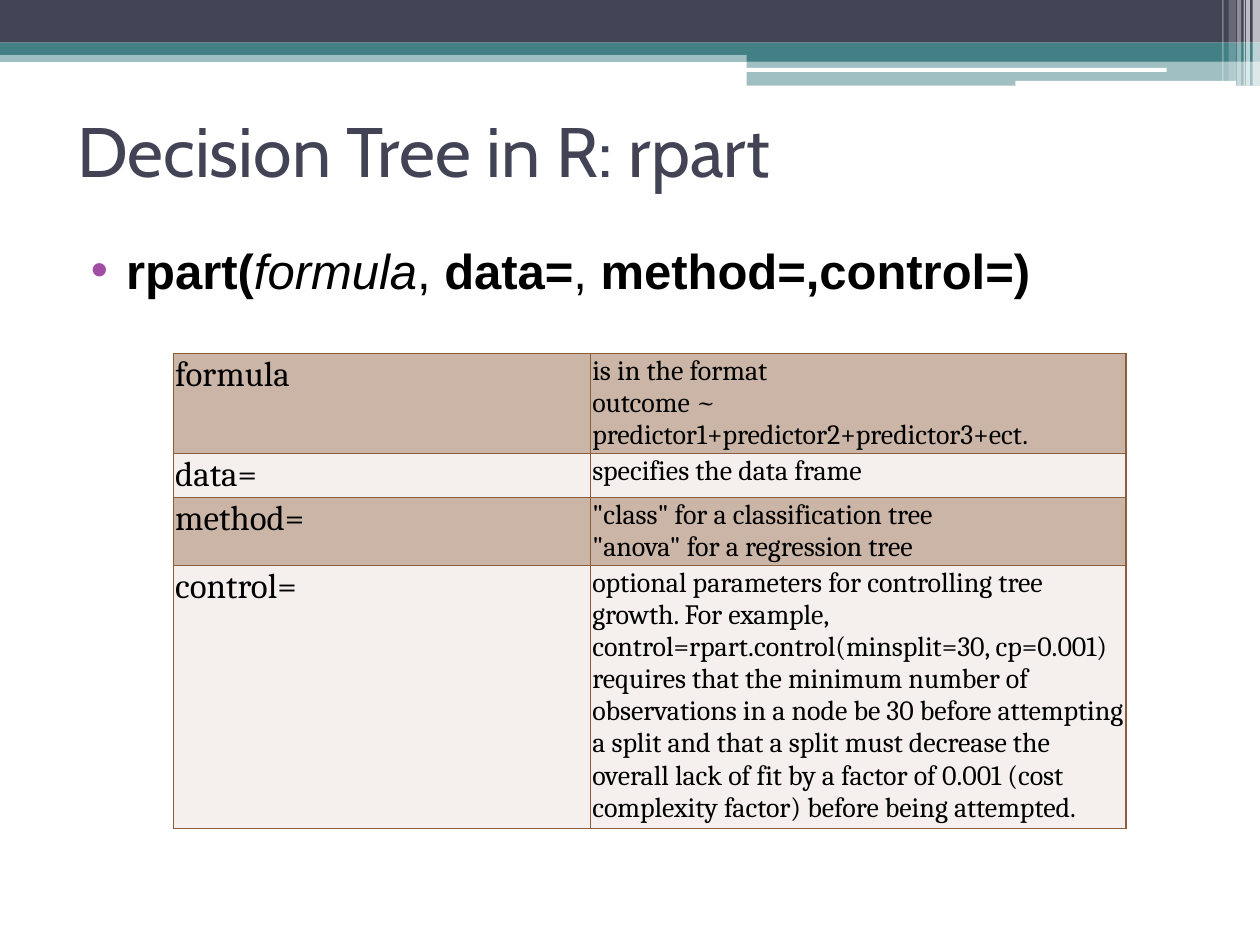
from dataclasses import dataclass

from lxml import etree
from pptx import Presentation
from pptx.dml.color import RGBColor
from pptx.enum.shapes import MSO_SHAPE
from pptx.enum.text import MSO_ANCHOR, MSO_AUTO_SIZE, PP_ALIGN
from pptx.oxml.ns import qn
from pptx.util import Cm, Pt

RECT = MSO_SHAPE.RECTANGLE
ROUND = MSO_SHAPE.ROUNDED_RECTANGLE
LEFT = PP_ALIGN.LEFT
TOP = MSO_ANCHOR.TOP
MIDDLE = MSO_ANCHOR.MIDDLE
NO_FIT = MSO_AUTO_SIZE.NONE


@dataclass(frozen=True)
class Theme:
    navy: str = "424456"
    teal: str = "438086"
    white: str = "FFFFFF"
    text: str = "000000"
    bullet: str = "A04DA3"
    border: str = "8B5D3D"
    rows: tuple = ("CBB5A7", "F5F0EE")
    title_font: str = "Cabin"
    body_font: str = "Arial"
    table_font: str = "Cambria"
    title_size: int = 40
    body_size: int = 28
    term_size: int = 20
    note_size: int = 16
    border_width: float = 0.75


THEME = Theme()

SIGNATURE = [
    ("rpart(", {"bold": True}),
    ("formula", {"italic": True}),
    (", ", {}),
    ("data=", {"bold": True}),
    (", ", {}),
    ("method=,control=)", {"bold": True}),
]

ARGUMENTS = [
    ("formula", "is in the format \noutcome ~ predictor1+predictor2+predictor3+ect.", 2.01),
    ("data=", "specifies the data frame", 0.89),
    ("method=", '"class" for a classification tree \n"anova" for a regression tree', 1.37),
    ("control=", "optional parameters for controlling tree growth. For example, "
     "control=rpart.control(minsplit=30, cp=0.001) requires that the minimum number of "
     "observations in a node be 30 before attempting a split and that a split must decrease "
     "the overall lack of fit by a factor of 0.001 (cost complexity factor) before being "
     "attempted.", 5.31),
]


def add_text(p, text, *, font, size, color=THEME.text, bold=False, italic=False):
    for i, line in enumerate(text.split("\n")):
        if i:
            p.add_line_break()
            br = p._p.findall(qn("a:br"))[-1]
            etree.SubElement(br, qn("a:rPr"), sz=str(size * 100))
        r = p.add_run()
        r.text = line
        r.font.name = font
        r.font.size = Pt(size)
        r.font.bold = bold
        r.font.italic = italic
        r.font.color.rgb = RGBColor.from_string(color)


def place(sp, left, top, width, height):
    sp.left, sp.top, sp.width, sp.height = Cm(left), Cm(top), Cm(width), Cm(height)


def add_bar(slide, left, top, width, height, color, alpha=100, shape=RECT):
    sp = slide.shapes.add_shape(shape, Cm(left), Cm(top), Cm(width), Cm(height))
    sp.shadow.inherit = False
    sp.line.fill.background()
    sp.fill.solid()
    sp.fill.fore_color.rgb = RGBColor.from_string(color)
    if alpha < 100:
        clr = sp._element.spPr.find(qn("a:solidFill"))[0]
        etree.SubElement(clr, qn("a:alpha"), val=str(alpha * 1000))


def add_header(slide, left, top, width):
    right = left + width
    tab = right - 10.35
    add_bar(slide, left, top + 1.02, width, 0.23, THEME.teal, 50)
    add_bar(slide, left, top, width, 0.86, THEME.navy)
    add_bar(slide, left, top + 0.86, width, 0.25, THEME.teal)
    add_bar(slide, tab, top + 0.99, 10.35, 0.25, THEME.teal)
    add_bar(slide, tab, top + 1.23, 10.35, 0.5, THEME.teal, 50)
    add_bar(slide, tab - 0.03, top + 1.37, 8.5, 0.08, THEME.white, shape=ROUND)
    add_bar(slide, right - 4.93, top + 1.63, 4.45, 0.1, THEME.white, shape=ROUND)
    stripes = [(0.15, 0.15, 1.73, 65), (0.28, 0.08, 1.73, 65), (0.33, 0.03, 1.73, 60),
               (0.46, 0.08, 1.73, 40), (0.63, 0.15, 1.63, 20), (0.76, 0.03, 1.63, 30)]
    for offset, w, h, alpha in stripes:
        add_bar(slide, right - offset, top, w, h, THEME.white, alpha)


def add_title(slide, left, top, width, height):
    sp = slide.shapes.title
    place(sp, left, top, width, height)
    tf = sp.text_frame
    tf.auto_size = NO_FIT
    tf.vertical_anchor = MIDDLE
    p = tf.paragraphs[0]
    p.alignment = LEFT
    add_text(p, "Decision Tree in R: rpart", font=THEME.title_font,
             size=THEME.title_size, color=THEME.navy)


def add_body(slide, left, top, width, height):
    sp = slide.placeholders[1]
    place(sp, left, top, width, height)
    tf = sp.text_frame
    tf.auto_size = NO_FIT
    tf.vertical_anchor = TOP
    p = tf.paragraphs[0]
    p.alignment = LEFT
    p.space_before = Pt(0)
    pPr = p._p.get_or_add_pPr()
    pPr.set("marL", str(Cm(1.02)))
    pPr.set("indent", str(-Cm(0.71)))
    clr = etree.SubElement(pPr, qn("a:buClr"))
    etree.SubElement(clr, qn("a:srgbClr"), val=THEME.bullet)
    etree.SubElement(pPr, qn("a:buFont"), typeface=THEME.body_font)
    etree.SubElement(pPr, qn("a:buChar"), char="•")
    for text, style in SIGNATURE:
        add_text(p, text, font=THEME.body_font, size=THEME.body_size, **style)


def format_cell(cell, text, size, fill):
    cell.margin_left = cell.margin_right = Cm(0.03)
    cell.margin_top = cell.margin_bottom = Cm(0.03)
    cell.vertical_anchor = TOP
    add_text(cell.text_frame.paragraphs[0], text, font=THEME.table_font, size=size)
    tcPr = cell._tc.get_or_add_tcPr()
    for side in ("a:lnL", "a:lnR", "a:lnT", "a:lnB"):
        ln = etree.SubElement(tcPr, qn(side), w=str(Pt(THEME.border_width)))
        line_fill = etree.SubElement(ln, qn("a:solidFill"))
        etree.SubElement(line_fill, qn("a:srgbClr"), val=THEME.border)
    cell.fill.solid()
    cell.fill.fore_color.rgb = RGBColor.from_string(fill)


def add_arguments(slide, left, top, width):
    height = sum(h for _, _, h in ARGUMENTS)
    table = slide.shapes.add_table(len(ARGUMENTS), 2, Cm(left), Cm(top),
                                   Cm(width), Cm(height)).table
    table.first_row = False
    table.horz_banding = False
    table.columns[0].width = Cm(8.41)
    table.columns[1].width = Cm(width - 8.41)
    for i, (term, note, h) in enumerate(ARGUMENTS):
        table.rows[i].height = Cm(h)
        fill = THEME.rows[i % 2]
        format_cell(table.cell(i, 0), term, THEME.term_size, fill)
        format_cell(table.cell(i, 1), note, THEME.note_size, fill)


def main():
    prs = Presentation()
    prs.slide_width, prs.slide_height = Cm(25.4), Cm(19.05)
    slide = prs.slides.add_slide(prs.slide_layouts[1])
    add_header(slide, 0, 0, 25.4)
    add_title(slide, 1.3, 1.52, 22.86, 2.97)
    add_body(slide, 1.27, 4.72, 22.86, 13.54)
    add_arguments(slide, 3.5, 7.13, 19.2)
    prs.save("out.pptx")


if __name__ == "__main__":
    main()
